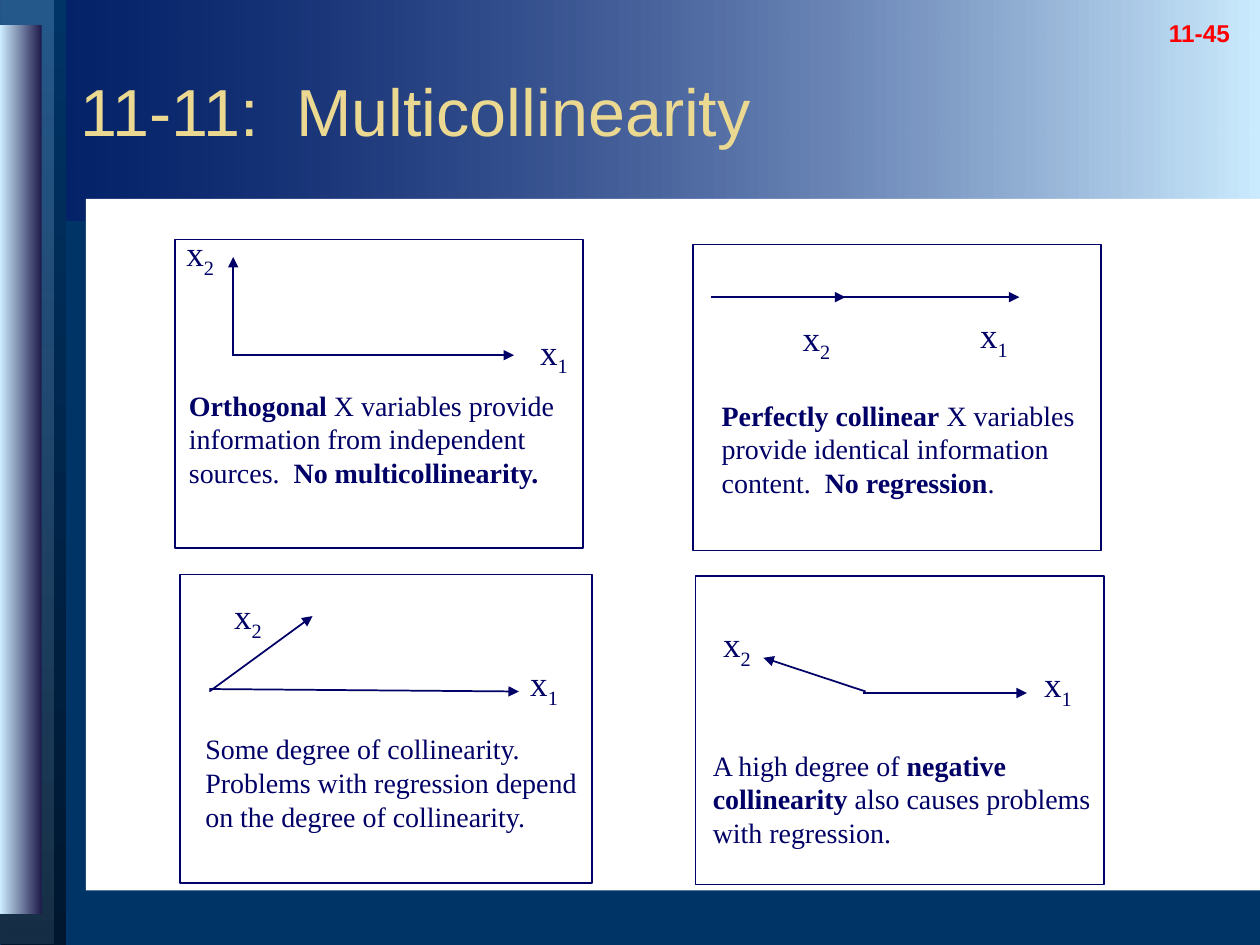
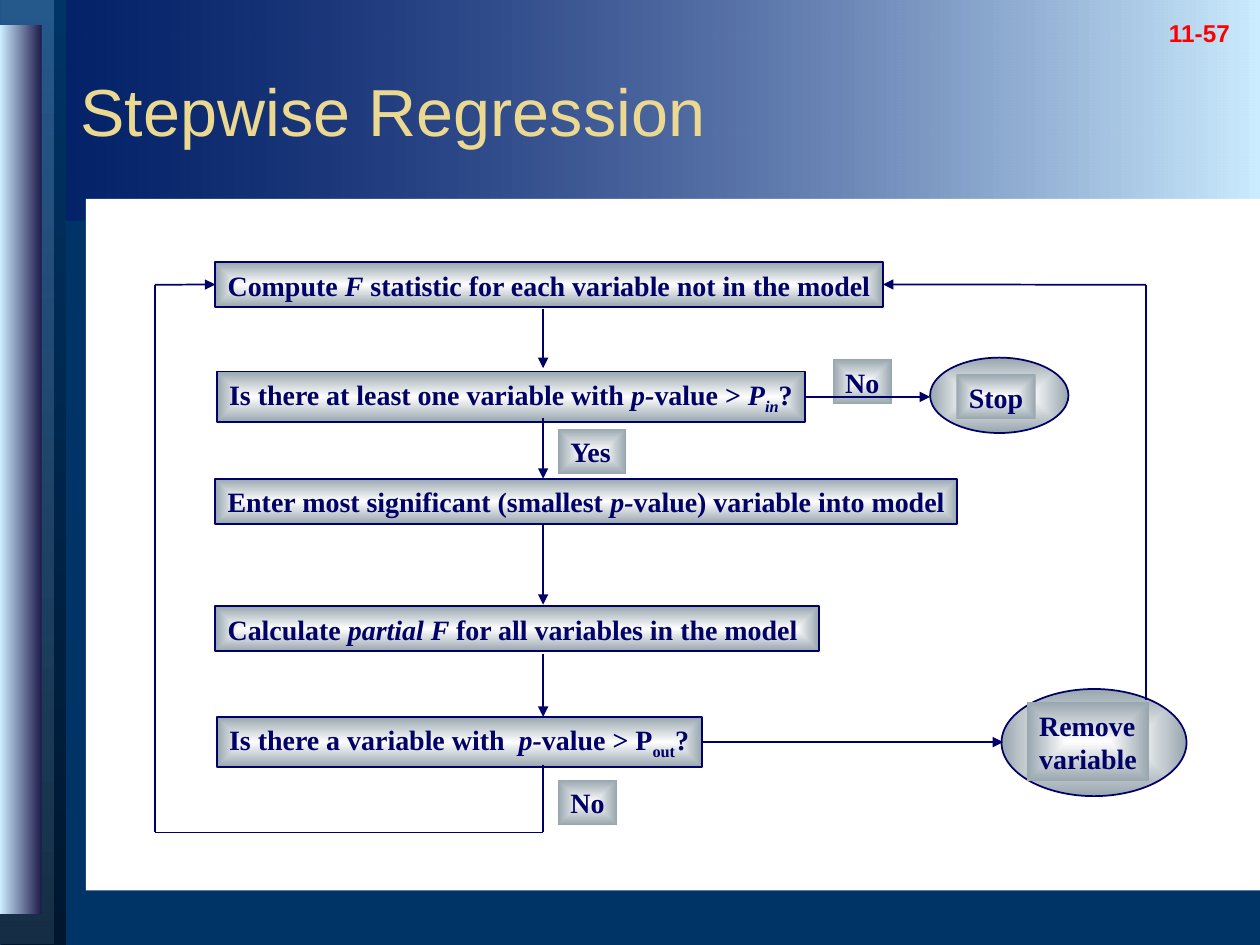
from dataclasses import dataclass
from typing import Optional

import lxml.etree
import pptx
import pptx.dml.color
import pptx.enum.shapes
import pptx.enum.text
import pptx.oxml.ns
import pptx.util

Cm = pptx.util.Cm
Pt = pptx.util.Pt
qn = pptx.oxml.ns.qn
SHAPE = pptx.enum.shapes.MSO_SHAPE
ANCHOR = pptx.enum.text.MSO_ANCHOR
ALIGN = pptx.enum.text.PP_ALIGN

# Shared colours and fonts
NAVY, DEEP, SKY, WHITE = "000066", "003366", "CCECFF", "FFFFFF"
GOLD, RED = "EBD891", "FF0000"
SERIF, SANS = "Times New Roman", "Arial"
TOP, LEFT, BOTTOM, RIGHT = range(4)
Point = tuple[float, float]


@dataclass
class Area:
    left: float
    top: float
    width: float
    height: float

    def lengths(self) -> list:
        return [Cm(v) for v in (self.left, self.top, self.width, self.height)]


@dataclass
class Span:
    text: str
    bold: bool = False
    italic: bool = False
    sub: bool = False


@dataclass
class Gradient:
    stops: list[tuple]  # (position, colour[, opacity]) in percent
    angle: Optional[int] = None  # None spreads from the centre


@dataclass
class Vectors:
    """A framed diagram of two variables drawn as arrows."""
    frame: Area
    x1: tuple[Point, Point]
    x2: tuple[Point, Point]
    x1_label: Point
    x2_label: Point
    caption_at: Point
    caption: list[Span]


@dataclass
class Step:
    """A piece of the flow chart; each line is a list of spans."""
    area: Area
    lines: list[list[Span]]
    outlined: bool = True
    kind: int = SHAPE.RECTANGLE


SILVER = Gradient([(0, "FEFEFE"), (100, "98A6AE")])


# Formatting helpers
def color(code: str) -> pptx.dml.color.RGBColor:
    return pptx.dml.color.RGBColor.from_string(code)


def write(para, text: str, *, size: float = 16, font: str = SERIF, tint: str = NAVY,
          bold: bool = False, italic: bool = False, sub: bool = False) -> None:
    span = para.add_run()
    span.text = text
    span.font.size, span.font.name = Pt(size), font
    span.font.bold, span.font.italic = bold, italic
    span.font.color.rgb = color(tint)
    if sub:
        span._r.get_or_add_rPr().set("baseline", "-25000")


def write_lines(frame, lines: list[list[Span]], size: float = 16) -> None:
    for index, spans in enumerate(lines):
        para = frame.add_paragraph() if index else frame.paragraphs[0]
        para.alignment = ALIGN.LEFT
        for span in spans:
            write(para, span.text, size=size, bold=span.bold,
                  italic=span.italic, sub=span.sub)


def fill_gradient(shape, gradient: Gradient) -> None:
    def add(parent, tag: str, **values):
        return lxml.etree.SubElement(parent, qn(tag), {k: str(v) for k, v in values.items()})

    shape.fill.background()
    empty = shape.element.spPr.find(qn("a:noFill"))
    blend = lxml.etree.Element(qn("a:gradFill"), rotWithShape="1")
    stop_list = add(blend, "a:gsLst")
    for position, code, *opacity in gradient.stops:
        stop = add(stop_list, "a:gs", pos=position * 1000)
        tint = add(stop, "a:srgbClr", val=code)
        for percent in opacity:
            add(tint, "a:alpha", val=percent * 1000)
    if gradient.angle is None:
        spread = add(blend, "a:path", path="rect")
        add(spread, "a:fillToRect", l=50000, t=50000, r=50000, b=50000)
    else:
        add(blend, "a:lin", ang=gradient.angle * 60000, scaled=0)
    shape.element.spPr.replace(empty, blend)


def add_box(page, area: Area, fill=None, outlined: bool = False,
            kind: int = SHAPE.RECTANGLE):
    box = page.shapes.add_shape(kind, *area.lengths())
    box.shadow.inherit = False
    if isinstance(fill, Gradient):
        fill_gradient(box, fill)
    elif fill:
        box.fill.solid()
        box.fill.fore_color.rgb = color(fill)
    else:
        box.fill.background()
    if outlined:
        box.line.color.rgb, box.line.width = color(NAVY), Pt(1)
    else:
        box.line.fill.background()
    return box


def add_text(page, area: Area, spans: list[Span], size: float = 16, wrap: bool = True) -> None:
    box = page.shapes.add_textbox(*area.lengths())
    box.text_frame.word_wrap = wrap
    write_lines(box.text_frame, [spans], size)


def add_line(page, start: Point, end: Point, arrow: bool = True):
    line = page.shapes.add_connector(pptx.enum.shapes.MSO_CONNECTOR.STRAIGHT,
                                     *(Cm(v) for v in start + end))
    line.line.color.rgb, line.line.width = color(NAVY), Pt(1)
    properties = line.element.spPr
    if arrow:
        lxml.etree.SubElement(properties.find(qn("a:ln")), qn("a:tailEnd"), type="triangle")
    lxml.etree.SubElement(properties, qn("a:effectLst"))
    return line


# Shared design
def decorate_layout(layout, page) -> None:
    """Draw the bands once and place them behind the layout's placeholders."""
    layout.background.fill.solid()
    layout.background.fill.fore_color.rgb = color(DEEP)
    bands = [
        (Area(0, 0, 25.4, 4.45), Gradient([(0, SKY), (100, NAVY, 38)], 180)),
        (Area(0.03, 0, 1.3, 19.05), Gradient([(0, DEEP), (100, "00172F")], 90)),
        (Area(-0.05, -0.03, 1.12, 19.05), Gradient([(0, "336699", 73), (100, "172F46")], 90)),
        (Area(0, 0.51, 0.84, 17.91), Gradient([(0, "1E1B4B"), (100, SKY)], 180)),
        (Area(1.73, 4.01, 23.67, 13.94), WHITE),
    ]
    for index, (area, fill) in enumerate(bands):
        layout.shapes.element.insert(2 + index, add_box(page, area, fill).element)


def start_page(page, title: str, number: str) -> None:
    heading = page.shapes.title
    heading.left, heading.top, heading.width, heading.height = Area(1.37, 0.64, 23.55, 3.17).lengths()
    frame = heading.text_frame
    frame.vertical_anchor = ANCHOR.MIDDLE
    frame.auto_size = pptx.enum.text.MSO_AUTO_SIZE.NONE
    frame.paragraphs[0].alignment = ALIGN.LEFT
    write(frame.paragraphs[0], title, size=38, font=SANS, tint=GOLD)

    box = page.shapes.add_textbox(*Area(22.86, -0.33, 2.64, 1.42).lengths())
    box.text_frame.word_wrap = True
    para = box.text_frame.paragraphs[0]
    para.alignment, para.space_before = ALIGN.CENTER, Pt(15)
    write(para, number, size=24, font=SANS, tint=RED, bold=True, sub=True)


# Multicollinearity diagrams
DIAGRAMS = [
    Vectors(Area(3.53, 4.83, 8.23, 6.22), ((4.67, 7.16), (10.36, 7.16)),
            ((4.7, 7.14), (4.7, 5.18)), (10.64, 6.53), (3.51, 4.55), (3.56, 7.7),
            [Span("Orthogonal", bold=True),
             Span(" X variables provide information from independent sources.  "),
             Span("No multicollinearity.", bold=True)]),
    Vectors(Area(13.97, 4.93, 8.23, 6.17), ((14.33, 5.99), (20.55, 5.99)),
            ((14.33, 5.99), (17.04, 5.99)), (19.51, 6.2), (15.93, 6.25), (14.3, 7.9),
            [Span("Perfectly collinear", bold=True),
             Span(" X variables provide identical information content.  "),
             Span("No regression", bold=True), Span(".")]),
    Vectors(Area(3.63, 11.58, 8.31, 6.22), ((4.22, 13.89), (10.46, 13.94)),
            ((4.22, 13.94), (6.3, 12.42)), (10.44, 13.21), (4.47, 11.86), (3.89, 14.63),
            [Span("Some degree of collinearity. Problems with regression depend "
                  "on the degree of collinearity.")]),
    Vectors(Area(14.02, 11.61, 8.23, 6.22), ((17.4, 13.97), (20.7, 13.97)),
            ((17.45, 13.94), (15.39, 13.26)), (20.8, 13.23), (14.33, 12.42), (14.12, 14.96),
            [Span("A high degree of "), Span("negative collinearity ", bold=True),
             Span("also causes problems with regression.")]),
]


def draw_vectors(page, diagram: Vectors) -> None:
    add_box(page, diagram.frame, outlined=True)
    for digit, arrow, label in (("1", diagram.x1, diagram.x1_label),
                                ("2", diagram.x2, diagram.x2_label)):
        add_line(page, *arrow)
        add_text(page, Area(*label, 1.07, 1.22), [Span("x"), Span(digit, sub=True)],
                 size=20, wrap=False)
    add_text(page, Area(*diagram.caption_at, 8.23, 2.29), diagram.caption)


# Stepwise regression flow chart
def strong(text: str, italic: bool = False, sub: bool = False) -> Span:
    return Span(text, True, italic, sub)


STEPS = {
    "compute": Step(Area(4.34, 5.28, 13.46, 0.91), [[
        strong("Compute "), strong("F", italic=True),
        strong(" statistic for each variable not in the model")]]),
    "entry test": Step(Area(4.37, 7.49, 11.86, 1.02), [[
        strong("Is there at least one variable with "), strong("p-", italic=True),
        strong("value >"), strong(" P", italic=True),
        strong("in", italic=True, sub=True), strong("?")]]),
    "enter": Step(Area(4.34, 9.65, 14.96, 0.91), [[
        strong("Enter most significant (smallest "), strong("p-", italic=True),
        strong("value) variable into model")]]),
    "partial": Step(Area(4.34, 12.22, 12.17, 0.91), [[
        strong("Calculate "), strong("partial F ", italic=True),
        strong("for all variables in the model")]]),
    "removal test": Step(Area(4.37, 14.45, 9.78, 1.02), [[
        strong("Is there a variable with  "), strong("p-", italic=True),
        strong("value > P"), strong("out", sub=True), strong("?")]]),
    "remove oval": Step(Area(20.19, 13.89, 3.73, 2.16), [], kind=SHAPE.OVAL),
    "remove": Step(Area(20.7, 14.15, 2.46, 1.6),
                   [[strong("Remove")], [strong("variable")]], False),
    "stop oval": Step(Area(18.75, 7.21, 2.79, 1.52), [], kind=SHAPE.OVAL),
    "stop": Step(Area(19.28, 7.54, 1.6, 0.91), [[strong("Stop")]], False),
    "yes": Step(Area(11.25, 8.64, 1.37, 0.91), [[strong("Yes")]], False),
    "no entry": Step(Area(16.79, 7.24, 1.19, 0.91), [[strong("No")]], False),
    "no removal": Step(Area(11.25, 15.72, 1.19, 0.91), [[strong("No")]], False),
}


def draw_step(page, step: Step):
    box = add_box(page, step.area, SILVER, step.outlined, step.kind)
    box.text_frame.word_wrap = False
    box.text_frame.vertical_anchor = ANCHOR.TOP
    write_lines(box.text_frame, step.lines)
    return box


def draw_flow(page) -> None:
    boxes = {name: draw_step(page, step) for name, step in STEPS.items()}
    # Main path downwards
    spine, loop_left, loop_right = 10.95, 3.12, 23.1
    loop_top, loop_bottom = 5.74, 16.78
    for top, bottom in ((6.22, 7.42), (8.43, 9.65), (10.57, 12.19), (13.18, 14.45)):
        add_line(page, (spine, top), (spine, bottom))
    # Branches to the ovals
    for name, start, end in (("entry test", (16.23, 8), (18.75, 8)),
                             ("removal test", (14.15, 14.96), (20.22, 14.96))):
        add_line(page, start, end).begin_connect(boxes[name], RIGHT)
    # Loops back to the first step
    for start, end in (((spine, 15.42), (spine, loop_bottom)),
                       ((spine, loop_bottom), (loop_left, loop_bottom)),
                       ((loop_left, loop_bottom), (loop_left, loop_top)),
                       ((loop_right, 14.12), (loop_right, loop_top))):
        add_line(page, start, end, arrow=False)
    for x, edge, side in ((loop_left, 4.34, LEFT), (loop_right, 17.8, RIGHT)):
        add_line(page, (x, loop_top), (edge, loop_top)).end_connect(boxes["compute"], side)


def main() -> None:
    deck = pptx.Presentation()
    deck.slide_width, deck.slide_height = Cm(25.4), Cm(19.05)
    layout = deck.slide_layouts[5]

    page = deck.slides.add_slide(layout)
    decorate_layout(layout, page)
    start_page(page, "11-11:  Multicollinearity", "11-45")
    for diagram in DIAGRAMS:
        draw_vectors(page, diagram)

    page = deck.slides.add_slide(layout)
    start_page(page, "Stepwise Regression", "11-57")
    draw_flow(page)
    deck.save("out.pptx")


if __name__ == "__main__":
    main()
